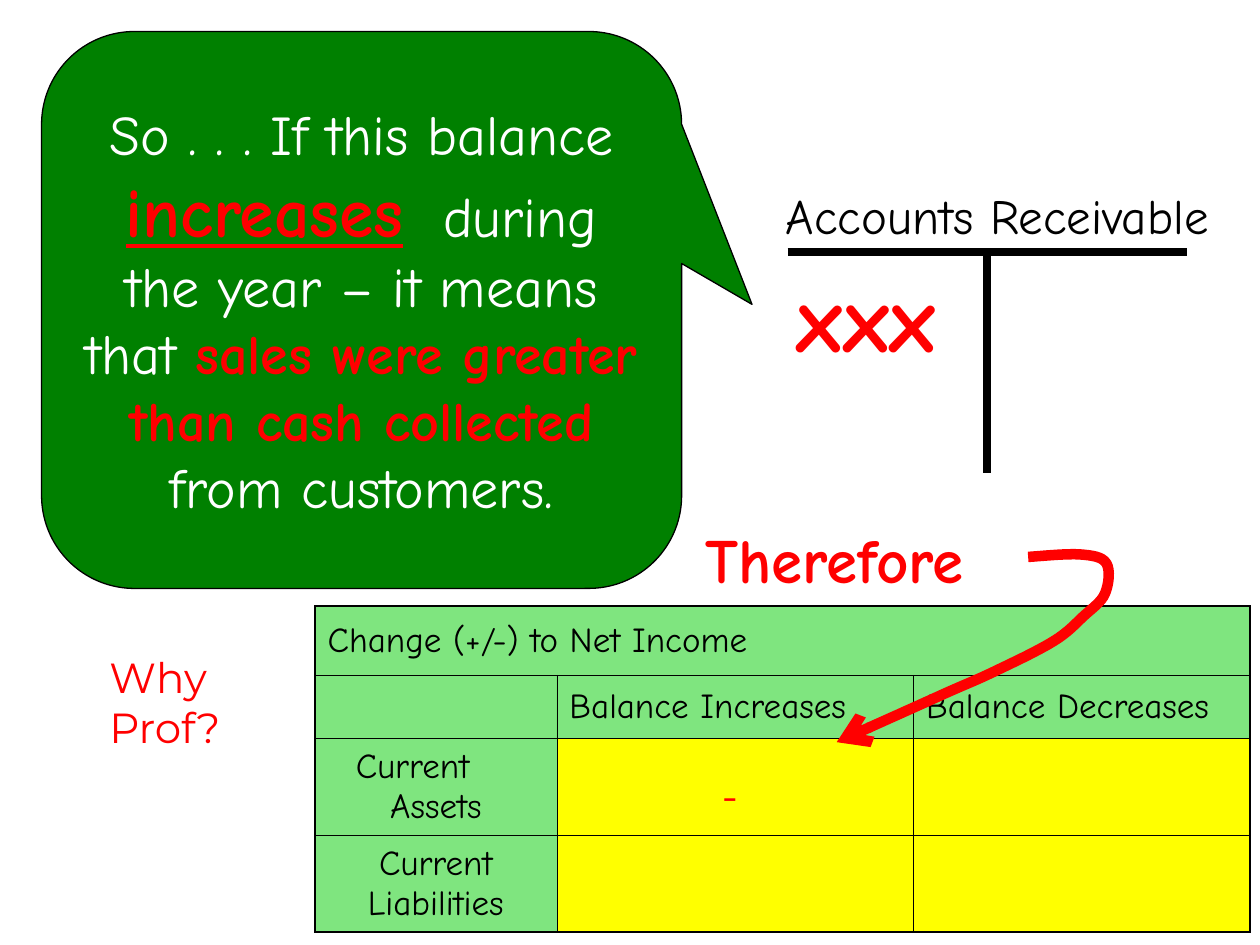
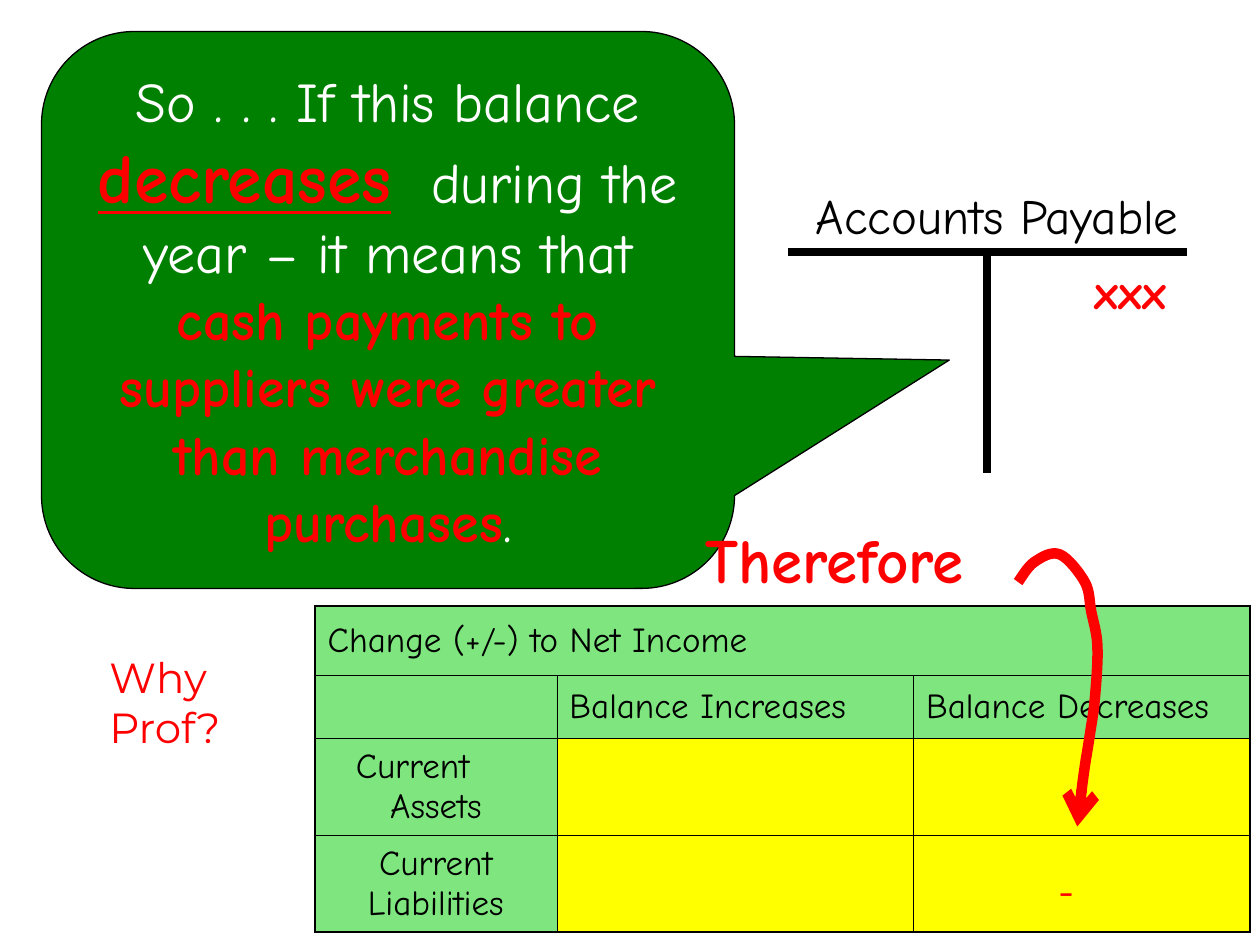
from lxml import etree
from pptx import Presentation
from pptx.dml.color import RGBColor
from pptx.enum.shapes import MSO_CONNECTOR, MSO_SHAPE
from pptx.enum.text import MSO_ANCHOR, PP_ALIGN
from pptx.oxml.ns import qn
from pptx.util import Inches, Pt

STRAIGHT = MSO_CONNECTOR.STRAIGHT
CALLOUT = MSO_SHAPE.ROUNDED_RECTANGULAR_CALLOUT
MIDDLE = MSO_ANCHOR.MIDDLE
LEFT, CENTER = PP_ALIGN.LEFT, PP_ALIGN.CENTER

BLACK = RGBColor(0x00, 0x00, 0x00)
WHITE = RGBColor(0xFF, 0xFF, 0xFF)
RED = RGBColor(0xFF, 0x00, 0x00)
GREEN = RGBColor(0x00, 0x80, 0x00)
LABEL_GREEN = RGBColor(0x00, 0xCC, 0x00)
YELLOW = RGBColor(0xFF, 0xFF, 0x00)
COMIC, MONTSERRAT = "Comic Neue", "Montserrat"
BLANK_LAYOUT = 6

THIN, HEAVY = Pt(0.45), Pt(1.08)
COLUMN_WIDTHS = (1.92, 2.83, 2.67)
ROW_HEIGHTS = (0.55, 0.5, 0.77, 0.77)
HEADER_ROWS = 2
FIRST_LINE_SHIFT = Inches(0.37)
TABLE_TEXT = {
    (0, 0): ["Change (+/-) to Net Income"],
    (1, 1): ["Balance Increases"],
    (1, 2): ["Balance Decreases"],
    (2, 0): ["Current", "Assets"],
    (3, 0): ["Current Liabilities"],
}

ARROW_TO_ASSETS = [
    (8.16, 4.42), (8.57, 4.4), (8.78, 4.47), (8.77, 4.71), (8.6, 4.89),
    (8.36, 5.09), (7.89, 5.33), (7.53, 5.49), (7.13, 5.67), (6.64, 5.89),
]
ARROW_TO_LIABILITIES = [
    (8.08, 4.62), (8.21, 4.46), (8.41, 4.4), (8.61, 4.62), (8.66, 4.85),
    (8.71, 5.13), (8.69, 5.54), (8.65, 5.83), (8.6, 6.15), (8.55, 6.56),
]


def add_text(paragraph, text, size=32, font=COMIC, color=BLACK, bold=False,
             underline=False, spacing=0):
    """Append a formatted run to a paragraph."""
    run = paragraph.add_run()
    run.text = text
    if spacing:
        run._r.get_or_add_rPr().set("spc", str(spacing * 100))
    run.font.name = font
    run.font.size = Pt(size)
    run.font.color.rgb = color
    run.font.bold = bold
    run.font.underline = underline


def next_paragraph(frame, index):
    """Return the first paragraph of a frame, or a new one after it."""
    return frame.add_paragraph() if index else frame.paragraphs[0]


def smooth_curve(waypoints, steps=8):
    """Return points on a Catmull-Rom curve through the waypoints."""
    padded = [waypoints[0], *waypoints, waypoints[-1]]
    points = []
    for before, start, end, after in zip(padded, padded[1:], padded[2:], padded[3:]):
        for step in range(1, steps + 1):
            t = step / steps
            points.append(tuple(
                Inches(b + t * (c - a) / 2
                       + t ** 2 * (2 * a - 5 * b + 4 * c - d) / 2
                       + t ** 3 * (3 * b - a - 3 * c + d) / 2)
                for a, b, c, d in zip(before, start, end, after)))
    return points


class AccountSlide:
    """A slide that ties a change in an account balance to net income."""

    def __init__(self, presentation):
        """Add a blank slide."""
        self.slide = presentation.slides.add_slide(presentation.slide_layouts[BLANK_LAYOUT])
        self.shapes = self.slide.shapes

    def text_box(self, box, *lines, align=LEFT, wrap=True, **style):
        """Add a text box with one paragraph per line."""
        frame = self.shapes.add_textbox(*map(Inches, box)).text_frame
        frame.word_wrap = wrap
        for index, line in enumerate(lines):
            paragraph = next_paragraph(frame, index)
            paragraph.alignment = align
            add_text(paragraph, line, **style)

    def callout(self, width, pointer, change, meaning, ending):
        """Add the green speech callout, with its pointer as shares of its size."""
        shape = self.shapes.add_shape(CALLOUT, *map(Inches, (0.33, 0.25, width, 4.42)))
        shape.adjustments[0], shape.adjustments[1] = pointer
        shape.shadow.inherit = False
        shape.fill.solid()
        shape.fill.fore_color.rgb = GREEN
        shape.line.color.rgb = BLACK
        shape.line.width = Pt(0.75)
        shape.text_frame.word_wrap = True
        shape.text_frame.vertical_anchor = MIDDLE
        paragraph = shape.text_frame.paragraphs[0]
        paragraph.alignment = CENTER
        add_text(paragraph, "So . . . If this balance ", color=WHITE)
        add_text(paragraph, change, size=40, color=RED, bold=True, underline=True)
        add_text(paragraph, " ", color=WHITE, spacing=12)
        add_text(paragraph, "during the year – it means that ", color=WHITE)
        add_text(paragraph, meaning, color=RED, bold=True)
        add_text(paragraph, ending, color=WHITE)

    def line(self, start, end):
        """Add a thick straight rule."""
        connector = self.shapes.add_connector(STRAIGHT, *map(Inches, (*start, *end)))
        connector.line.color.rgb = BLACK
        connector.line.width = Pt(4.5)
        etree.SubElement(connector._element.spPr, qn("a:effectLst"))

    def t_account(self, name):
        """Add the T account with its name."""
        left, middle, right, top, bottom = 6.25, 7.83, 9.42, 2, 3.75
        self.line((left, top), (right, top))
        self.line((middle, bottom), (middle, top))
        self.text_box((5.83, 1.42, 4.17, 0.57), name, align=CENTER, size=28)

    def curved_arrow(self, waypoints):
        """Add a red arrow through the waypoints."""
        builder = self.shapes.build_freeform(*map(Inches, waypoints[0]))
        builder.add_line_segments(smooth_curve(waypoints), close=False)
        shape = builder.convert_to_shape()
        shape.shadow.inherit = False
        shape.fill.background()
        shape.line.color.rgb = RED
        shape.line.width = Pt(6)
        etree.SubElement(shape.line._get_or_add_ln(), qn("a:tailEnd"), type="arrow")

    def cell_borders(self, cell, is_outer):
        """Draw the four cell borders, heavier on the table's edge."""
        properties = cell._tc.get_or_add_tcPr()
        for side, outer in is_outer.items():
            border = etree.SubElement(properties, qn("a:ln" + side),
                                      w=str(HEAVY if outer else THIN))
            fill = etree.SubElement(border, qn("a:solidFill"))
            etree.SubElement(fill, qn("a:srgbClr"), val=str(BLACK))

    def cell_fill(self, cell, is_label):
        """Fill a label with half-clear green and an answer with yellow."""
        cell.fill.solid()
        cell.fill.fore_color.rgb = LABEL_GREEN if is_label else YELLOW
        if is_label:
            color = cell._tc.tcPr.find(qn("a:solidFill"))[0]
            etree.SubElement(color, qn("a:alpha"), val="50000")

    def cell_text(self, cell, lines, align):
        """Write lines in a cell, shifting all but the last to the left."""
        cell.vertical_anchor = MIDDLE
        for index, line in enumerate(lines):
            paragraph = next_paragraph(cell.text_frame, index)
            paragraph.alignment = align
            is_last = index == len(lines) - 1
            paragraph._p.get_or_add_pPr().set("marR", str(0 if is_last else FIRST_LINE_SHIFT))
            add_text(paragraph, line, size=20)

    def table(self):
        """Add the table of changes to net income."""
        last_row, last_column = len(ROW_HEIGHTS) - 1, len(COLUMN_WIDTHS) - 1
        box = (2.5, 4.81, sum(COLUMN_WIDTHS), sum(ROW_HEIGHTS))
        table = self.shapes.add_table(
            last_row + 1, last_column + 1, *map(Inches, box)).table
        table.first_row = table.horz_banding = False
        for column, width in zip(table.columns, COLUMN_WIDTHS):
            column.width = Inches(width)
        for row, height in zip(table.rows, ROW_HEIGHTS):
            row.height = Inches(height)
        table.cell(0, 0).merge(table.cell(0, last_column))
        for row in range(last_row + 1):
            is_header = row < HEADER_ROWS
            for column in range(last_column + 1):
                cell = table.cell(row, column)
                self.cell_borders(cell, {
                    "L": column == 0,
                    "R": column == last_column or cell.is_merge_origin,
                    "T": row == 0,
                    "B": row == last_row,
                })
                self.cell_fill(cell, is_header or column == 0)
                self.cell_text(cell, TABLE_TEXT.get((row, column), []),
                               LEFT if is_header else CENTER)

    def conclusion(self, sign_position, arrow):
        """Add the table, its minus sign and the arrow that leads there."""
        aside = {"wrap": False, "size": 24, "font": MONTSERRAT, "color": RED}
        self.table()
        self.text_box((*sign_position, 0.31, 0.25), "-", **aside)
        self.text_box((5.5, 4.08, 2.75, 0.7), "Therefore", size=36, color=RED, bold=True)
        self.curved_arrow(arrow)
        self.text_box((0.77, 5.12, 1.09, 1.96), "Why", "Prof?", **aside)


def main():
    """Build both slides and save the presentation."""
    presentation = Presentation()
    presentation.slide_width, presentation.slide_height = Inches(10), Inches(7.5)

    receivable = AccountSlide(presentation)
    receivable.callout(5.08, (0.61, -0.01), "increases",
                       "sales were greater than cash collected", " from customers.")
    receivable.conclusion((5.63, 6.06), ARROW_TO_ASSETS)
    receivable.t_account("Accounts Receivable")
    receivable.text_box((6, 2, 1.75, 1), "xxx", align=CENTER, size=54, color=RED, bold=True)

    payable = AccountSlide(presentation)
    payable.callout(5.5, (0.81, 0.09), "decreases",
                    "cash payments to suppliers were greater than merchandise purchases", ".")
    payable.conclusion((8.3, 6.81), ARROW_TO_LIABILITIES)
    payable.t_account("Accounts Payable")
    payable.text_box((8.59, 2.02, 0.77, 0.57), "xxx", wrap=False,
                     size=28, color=RED, bold=True)

    presentation.save("out.pptx")


if __name__ == "__main__":
    main()
